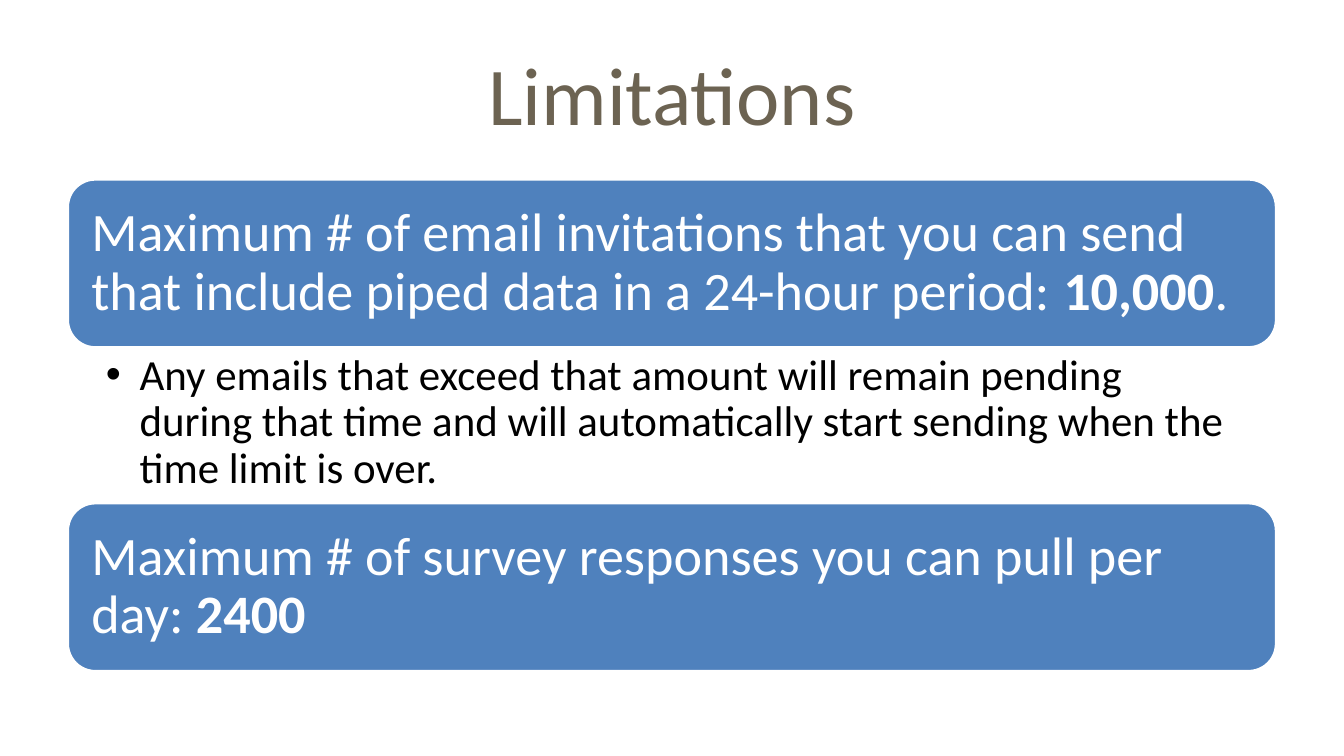
from lxml import etree
from pptx import Presentation
from pptx.dml.color import RGBColor
from pptx.enum.shapes import MSO_SHAPE
from pptx.enum.text import MSO_ANCHOR, PP_ALIGN
from pptx.oxml.ns import qn
from pptx.util import Cm, Pt

ROUNDED = MSO_SHAPE.ROUNDED_RECTANGLE
TOP, MIDDLE = MSO_ANCHOR.TOP, MSO_ANCHOR.MIDDLE
LEFT, CENTER = PP_ALIGN.LEFT, PP_ALIGN.CENTER

COLORS = {"title": "6C6352", "bar": "4F81BD", "white": "FFFFFF", "detail": "000000"}
FONT = "Calibri"

# Shared column and the heights of the stacked parts, in cm
X, WIDTH = 1.27, 22.86
BAR_TOP, BAR_HEIGHT, DETAIL_HEIGHT = 3.38, 3.2, 2.92


class SlideBuilder:
    """Holds the style and the current slide."""

    def __init__(self, slide):
        self.slide = slide

    def color(self, name):
        return RGBColor.from_string(COLORS[name])

    def add_text(self, sp, runs, size, color, insets, anchor=MIDDLE, align=LEFT, spacing=0.9):
        """Fill a shape with one paragraph of (text, bold) runs."""
        tf = sp.text_frame
        tf.word_wrap = True
        tf.vertical_anchor = anchor
        tf.margin_left, tf.margin_top, tf.margin_right, tf.margin_bottom = map(Cm, insets)
        p = tf.paragraphs[0]
        p.alignment = align
        p.line_spacing = spacing
        for text, bold in runs:
            r = p.add_run()
            r.text = text
            r.font.name = FONT
            r.font.size = Pt(size)
            r.font.bold = bold
            r.font.color.rgb = self.color(color)
        return p

    def box(self, top, height):
        return self.slide.shapes.add_textbox(Cm(X), Cm(top), Cm(WIDTH), Cm(height))

    def title(self, text):
        self.add_text(self.box(0.57, 2.38), [(text, False)], 44, "title",
                      (0.25, 0.13, 0.25, 0.13), align=CENTER, spacing=1.0)

    def bar(self, top, runs):
        sp = self.slide.shapes.add_shape(ROUNDED, Cm(X), Cm(top), Cm(WIDTH), Cm(BAR_HEIGHT))
        sp.shadow.inherit = False
        sp.fill.solid()
        sp.fill.fore_color.rgb = self.color("bar")
        sp.line.color.rgb = self.color("white")
        sp.line.width = Pt(2)
        self.add_text(sp, runs, 29, "white", (0.3, 0.3, 0.3, 0.3))

    def bullet(self, top, text):
        p = self.add_text(self.box(top, DETAIL_HEIGHT), [(text, False)], 23, "detail",
                          (0.73, 0.1, 0.58, 0.1), anchor=TOP)
        p.level = 1
        pPr = p._p.get_or_add_pPr()
        pPr.set("marL", str(Cm(0.64)))
        pPr.set("indent", str(-Cm(0.64)))
        etree.SubElement(pPr, qn("a:buFont")).set("typeface", "Arial")
        etree.SubElement(pPr, qn("a:buChar")).set("char", "•")


def main():
    prs = Presentation()
    prs.slide_width, prs.slide_height = Cm(25.4), Cm(14.29)
    s = SlideBuilder(prs.slides.add_slide(prs.slide_layouts[6]))

    # Title
    s.title("Limitations")

    # Email limit and its detail
    s.bar(BAR_TOP, [
        ("Maximum # of email invitations that you can send that include piped data "
         "in a 24-hour period: ", False),
        ("10,000", True),
        (".", False),
    ])
    detail_top = BAR_TOP + BAR_HEIGHT
    s.bullet(detail_top, "Any emails that exceed that amount will remain pending during that "
                         "time and will automatically start sending when the time limit is over.")

    # Response limit
    s.bar(detail_top + DETAIL_HEIGHT, [
        ("Maximum # of survey responses you can pull per day: ", False),
        ("2400", True),
    ])

    prs.save("out.pptx")


if __name__ == "__main__":
    main()
